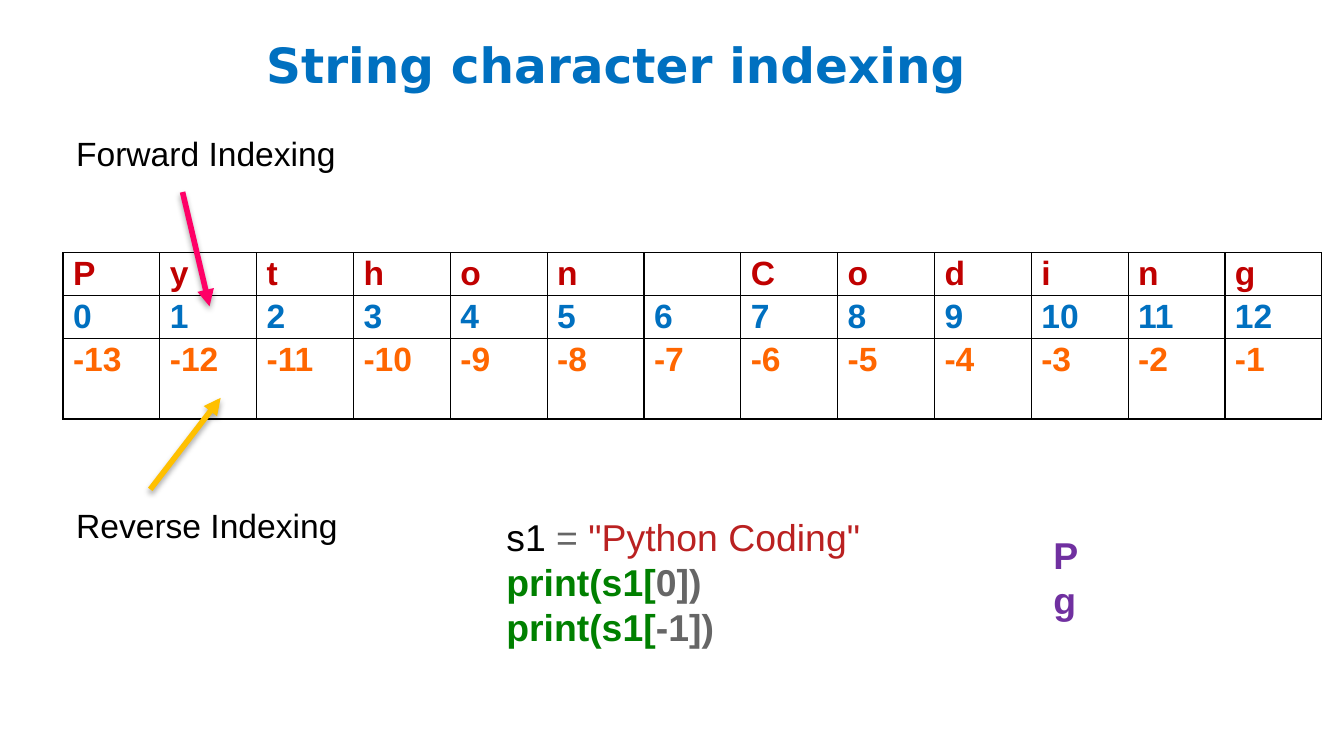
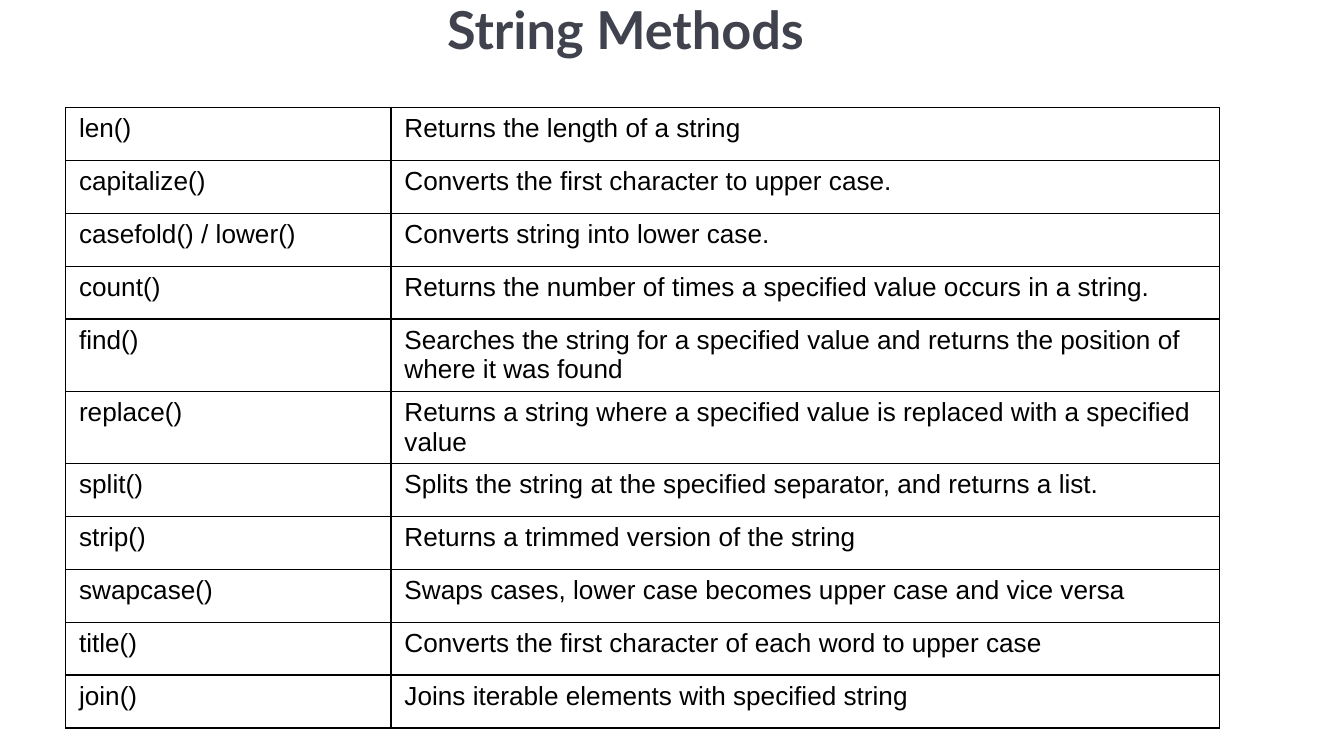
from dataclasses import dataclass

from lxml.etree import SubElement
from pptx import Presentation
from pptx.dml.color import RGBColor
from pptx.enum.shapes import MSO_CONNECTOR
from pptx.enum.text import MSO_AUTO_SIZE, PP_ALIGN
from pptx.oxml import parse_xml
from pptx.oxml.ns import nsdecls, qn
from pptx.util import Cm, Pt


@dataclass(frozen=True)
class Theme:
    body_font: str = "Arial"
    title_font: str = "DejaVu Sans"
    methods_font: str = "Lato"
    black: str = "000000"
    blue: str = "0070C0"
    slate: str = "40424E"
    red: str = "C00000"
    orange: str = "FF6600"
    pink: str = "FF0066"
    gold: str = "FFC000"
    gray: str = "666666"
    string_red: str = "BA2121"
    green: str = "008000"
    purple: str = "7030A0"
    indexing_title_size: int = 26
    methods_title_size: int = 28
    code_size: int = 20
    label_size: int = 18
    method_size: int = 14
    border: float = 0.75
    arrow: float = 3


T = Theme()

# Content: a run is (text, colour, bold) with an optional font
INDEXING_TITLE = [("String character indexing", T.blue, True, T.title_font)]
METHODS_TITLE = [(" ", T.blue, True, T.title_font),
                 ("String Methods", T.slate, True, T.methods_font)]
WORD = "Python Coding"
LABELS = [("Forward Indexing", 2.39), ("Reverse Indexing", 9.42)]
ARROWS = [((3.45, 3.63), (3.96, 5.79), T.pink),
          ((2.84, 9.25), (4.17, 7.52), T.gold)]
CODE = [
    [("s1 ", T.black, False), ("= ", T.gray, False),
     (f'"{WORD}"', T.string_red, False)],
    [("print(s1[", T.green, True), ("0])", T.gray, True)],
    [("print(s1[", T.green, True), ("-1])", T.gray, True)],
]
OUTPUT = [[(letter, T.purple, True)] for letter in (WORD[0], WORD[-1])]
METHODS = [
    ("len()", "Returns the length of a string"),
    ("capitalize()", "Converts the first character to upper case."),
    ("casefold() / lower()", "Converts string into lower case."),
    ("count()", "Returns the number of times a specified value occurs in a string."),
    ("find()", "Searches the string for a specified value and returns the "
               "position of where it was found"),
    ("replace()", "Returns a string where a specified value is replaced with "
                  "a specified value"),
    ("split()", "Splits the string at the specified separator, and returns a list."),
    ("strip()", "Returns a trimmed version of the string"),
    ("swapcase()", "Swaps cases, lower case becomes upper case and vice versa"),
    ("title()", "Converts the first character of each word to upper case"),
    ("join()", "Joins iterable elements with specified string"),
]


def style(font, size, colour, bold=False, name=T.body_font):
    font.name, font.size, font.bold = name, Pt(size), bold
    font.color.rgb = RGBColor.from_string(colour)


def add_text(slide, box, lines, size):
    frame = slide.shapes.add_textbox(*map(Cm, box)).text_frame
    frame.word_wrap = True
    frame.auto_size = MSO_AUTO_SIZE.SHAPE_TO_FIT_TEXT
    for number, line in enumerate(lines):
        paragraph = frame.add_paragraph() if number else frame.paragraphs[0]
        for text, *look in line:
            run = paragraph.add_run()
            run.text = text
            style(run.font, size, *look)
    return frame


def add_title(slide, top, runs, size):
    frame = add_text(slide, (4.17, top, 14.96, 0.46), [runs], size)
    frame.auto_size = MSO_AUTO_SIZE.NONE
    frame.margin_top = frame.margin_bottom = Cm(0.25)
    frame.paragraphs[0].alignment = PP_ALIGN.CENTER


def add_borders(cell):
    properties = cell._tc.get_or_add_tcPr()
    for place, side in enumerate(("lnL", "lnR", "lnT", "lnB")):
        properties.insert(place, parse_xml(
            f'<a:{side} {nsdecls("a")} w="{Pt(T.border)}"><a:solidFill>'
            f'<a:srgbClr val="{T.black}"/></a:solidFill></a:{side}>'))


def add_table(slide, left, top, widths, heights, rows, colours, size,
              bold=False, margins=None, spacing=None):
    table = slide.shapes.add_table(
        len(rows), len(widths), Cm(left), Cm(top),
        Cm(sum(widths)), Cm(sum(heights))).table
    table.first_row = table.horz_banding = False
    for column, width in zip(table.columns, widths):
        column.width = Cm(width)
    for row, height, texts, colour in zip(table.rows, heights, rows, colours):
        row.height = Cm(height)
        for cell, text in zip(row.cells, texts):
            cell.fill.background()
            add_borders(cell)
            if margins:
                cell.margin_left = cell.margin_right = Cm(margins[0])
                cell.margin_top = cell.margin_bottom = Cm(margins[1])
            paragraph = cell.text_frame.paragraphs[0]
            paragraph.text = text.strip()
            paragraph.line_spacing = spacing
            for run in paragraph.runs:
                style(run.font, size, colour, bold)


def add_arrow(slide, start, end, colour):
    arrow = slide.shapes.add_connector(
        MSO_CONNECTOR.STRAIGHT, *map(Cm, start + end))
    arrow.line.color.rgb = RGBColor.from_string(colour)
    arrow.line.width = Pt(T.arrow)
    SubElement(arrow.line._get_or_add_ln(), qn("a:tailEnd"), type="triangle")
    arrow._element.spPr.append(parse_xml(
        f'<a:effectLst {nsdecls("a")}><a:outerShdw blurRad="40000" '
        f'dist="23000" dir="5400000" rotWithShape="0"><a:srgbClr val="{T.black}">'
        '<a:alpha val="35000"/></a:srgbClr></a:outerShdw></a:effectLst>'))


def build_indexing(slide):
    add_title(slide, 0.43, INDEXING_TITLE, T.indexing_title_size)
    # Letters with their forward and reverse positions
    count = len(WORD)
    rows = [list(WORD), [str(i) for i in range(count)],
            [str(i) for i in range(-count, 0)]]
    add_table(slide, 1.19, 4.78, [23.8 / count] * count, [0.81, 0.81, 1.52],
              rows, [T.red, T.blue, T.orange], T.label_size, bold=True,
              margins=(0.19, 0), spacing=1.07)
    # Labels and their arrows
    for label, top in LABELS:
        add_text(slide, (1.19, top, 10.59, 1.02),
                 [[(label, T.black)]], T.label_size)
    for arrow in ARROWS:
        add_arrow(slide, *arrow)
    # Example and its output
    add_text(slide, (9.32, 9.6, 7.32, 2.82), CODE, T.code_size)
    add_text(slide, (19.66, 9.93, 1.73, 1.96), OUTPUT, T.code_size)


def build_methods(slide):
    add_title(slide, -0.28, METHODS_TITLE, T.methods_title_size)
    count = len(METHODS)
    add_table(slide, 1.24, 2.03, [6.15, 15.65], [1] * count,
              METHODS, [T.black] * count, T.method_size)


def main():
    deck = Presentation()
    deck.slide_width, deck.slide_height = Cm(25.4), Cm(14.29)
    for build in (build_indexing, build_methods):
        build(deck.slides.add_slide(deck.slide_layouts[6]))
    deck.save("out.pptx")


if __name__ == "__main__":
    main()
